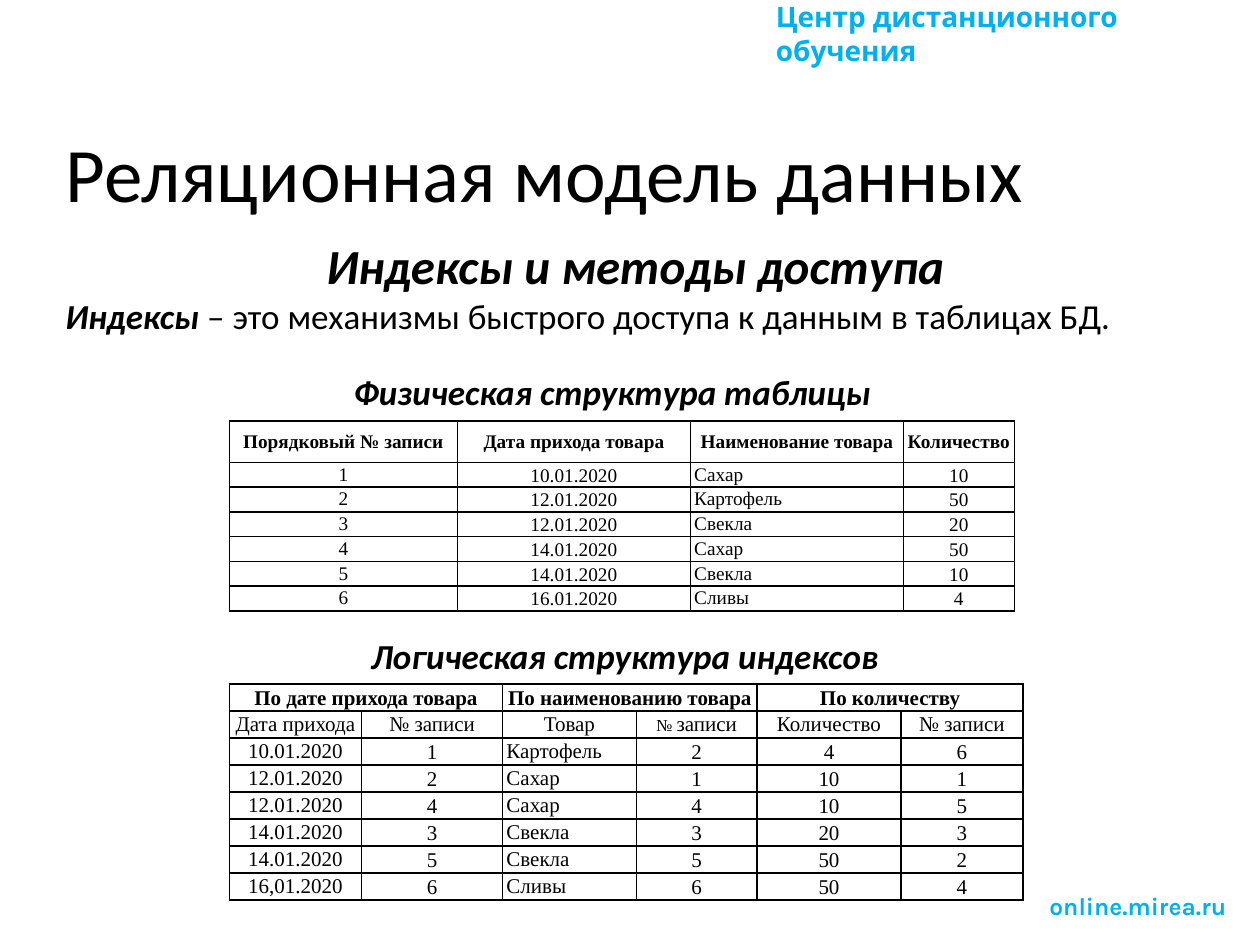
"""Build a slide on the relational data model with a data table and its indexes."""
from lxml.etree import SubElement
from pptx import Presentation
from pptx.dml.color import RGBColor
from pptx.enum.text import MSO_ANCHOR as ANCHOR, PP_ALIGN as ALIGN
from pptx.oxml import parse_xml
from pptx.oxml.ns import nsdecls, qn
from pptx.util import Inches, Pt

BLACK = RGBColor(0, 0, 0)
CYAN = RGBColor(0x00, 0xB0, 0xF0)
BOLD, ITALIC, PLAIN = (True, False), (True, True), (False, False)
LEFT_EDGE, TABLE_LEFT = 0.42, 1.82
NAME_COLUMN = 2
TOP_COLUMNS = (0, NAME_COLUMN)

HEADER = [([("Центр дистанционного обучения", BOLD)], 16, 1, ALIGN.LEFT)]
FOOTER = [([("online.mirea.ru", BOLD)], 14, 1, ALIGN.LEFT)]
TITLE = [([("Реляционная модель данных", PLAIN)], 44, 0.9, ALIGN.LEFT)]
INTRO = [
    ([("Индексы и методы доступа", ITALIC)], 28, 1.2, ALIGN.CENTER),
    ([("Индексы", ITALIC),
      (" – это механизмы быстрого доступа к данным в таблицах БД.", PLAIN)], 20, 1, ALIGN.LEFT),
]
PHYSICAL_LABEL = [([("Физическая структура таблицы", ITALIC)], 20, 1, ALIGN.CENTER)]
LOGICAL_LABEL = [([("Логическая структура индексов", ITALIC)], 20, 1, ALIGN.CENTER)]

PHYSICAL = [
    ("Порядковый № записи", "Дата прихода товара", "Наименование товара", "Количество"),
    ("1", "10.01.2020", "Сахар", "10"),
    ("2", "12.01.2020", "Картофель", "50"),
    ("3", "12.01.2020", "Свекла", "20"),
    ("4", "14.01.2020", "Сахар", "50"),
    ("5", "14.01.2020", "Свекла", "10"),
    ("6", "16.01.2020", "Сливы", "4"),
]
LOGICAL = [
    ("По дате прихода товарa", None, "По наименованию товара", None, "По количеству", None),
    ("Дата прихода", "№ записи", "Товар", "№ записи", "Количество", "№ записи"),
    ("10.01.2020", "1", "Картофель", "2", "4", "6"),
    ("12.01.2020", "2", "Сахар", "1", "10", "1"),
    ("12.01.2020", "4", "Сахар", "4", "10", "5"),
    ("14.01.2020", "3", "Свекла", "3", "20", "3"),
    ("14.01.2020", "5", "Свекла", "5", "50", "2"),
    ("16,01.2020", "6", "Сливы", "6", "50", "4"),
]
SMALL_CAPS_CELL, SMALL_CAPS_TEXT = (1, 3), "№ "


def style(r, font, size, color, weight):
    r.font.name, r.font.size, r.font.color.rgb = font, Pt(size), color
    r.font.bold, r.font.italic = weight


def add_text(slide, box, paragraphs, font="Calibri", color=BLACK, wrap=True, anchor=ANCHOR.TOP):
    tf = slide.shapes.add_textbox(*map(Inches, box)).text_frame
    tf.word_wrap, tf.vertical_anchor = wrap, anchor
    for i, (runs, size, spacing, align) in enumerate(paragraphs):
        p = tf.add_paragraph() if i else tf.paragraphs[0]
        p.alignment, p.line_spacing = align, spacing
        for text, weight in runs:
            r = p.add_run()
            r.text = text
            style(r, font, size, color, weight)


def add_borders(cell):
    tc_pr = cell._tc.get_or_add_tcPr()
    for i, side in enumerate(("lnL", "lnR", "lnT", "lnB")):
        ln = parse_xml(f'<a:{side} {nsdecls("a")} w="{Pt(1)}"/>')
        fill = SubElement(ln, qn("a:solidFill"))
        SubElement(fill, qn("a:srgbClr")).set("val", str(BLACK))
        tc_pr.insert(i, ln)


def add_grid(slide, top, widths, heights, rows, size, head_rows):
    frame = slide.shapes.add_table(len(rows), len(widths), *map(
        Inches, (TABLE_LEFT, top, sum(widths), sum(heights))))
    table = frame.table
    table.first_row = table.horz_banding = False
    for column, width in zip(table.columns, widths):
        column.width = Inches(width)
    for row, height in zip(table.rows, heights):
        row.height = Inches(height)
    for i, row in enumerate(rows):
        for j, text in enumerate(row):
            cell, body = table.cell(i, j), i >= head_rows
            cell.margin_left = cell.margin_right = Inches(0.03)
            cell.margin_top = cell.margin_bottom = 0
            at_top = j in TOP_COLUMNS if body else i > 0
            cell.vertical_anchor = ANCHOR.TOP if at_top else ANCHOR.MIDDLE
            cell.fill.background()
            add_borders(cell)
            p = cell.text_frame.paragraphs[0]
            p.alignment = ALIGN.LEFT if body and j == NAME_COLUMN else ALIGN.CENTER
            p.line_spacing = 1.07
            if text is None:
                table.cell(i, j - 1).merge(cell)
                p.font.size = Pt(size)
                continue
            small = head_rows > 1 and (i, j) == SMALL_CAPS_CELL
            parts = (SMALL_CAPS_TEXT, text.removeprefix(SMALL_CAPS_TEXT)) if small else (text,)
            for part in parts:
                r = p.add_run()
                r.text = part
                style(r, "Times New Roman", size, BLACK, PLAIN if i else BOLD)
            if small:
                p.runs[0].font._element.set("cap", "small")


def main():
    prs = Presentation()
    prs.slide_width, prs.slide_height = Inches(10), Inches(7.5)
    slide = prs.slides.add_slide(prs.slide_layouts[6])
    add_text(slide, (6.06, -0.05, 3.94, 0.37), HEADER, "Karla", CYAN)
    add_text(slide, (8.23, 7.02, 1.61, 0.34), FOOTER, "Karla", CYAN)
    add_text(slide, (LEFT_EDGE, 1.07, 7.99, 0.72), TITLE, anchor=ANCHOR.BOTTOM)
    add_text(slide, (LEFT_EDGE, 1.73, 9.24, 1), INTRO)
    body_height = (1.51 - 0.33) / 6
    add_grid(slide, 3.34, (1.81, 1.85, 1.69, 0.88), [0.33] + [body_height] * 6, PHYSICAL, 11, 1)
    add_grid(slide, 5.43, (1.05, 1.12, 1.06, 0.96, 1.14, 0.97), [1.71 / 8] * 8, LOGICAL, 12, 2)
    add_text(slide, (2.83, 4.99, 4.26, 0.44), LOGICAL_LABEL, wrap=False)
    add_text(slide, (2.66, 2.89, 4.4, 0.44), PHYSICAL_LABEL, wrap=False)
    prs.save("out.pptx")


if __name__ == "__main__":
    main()
